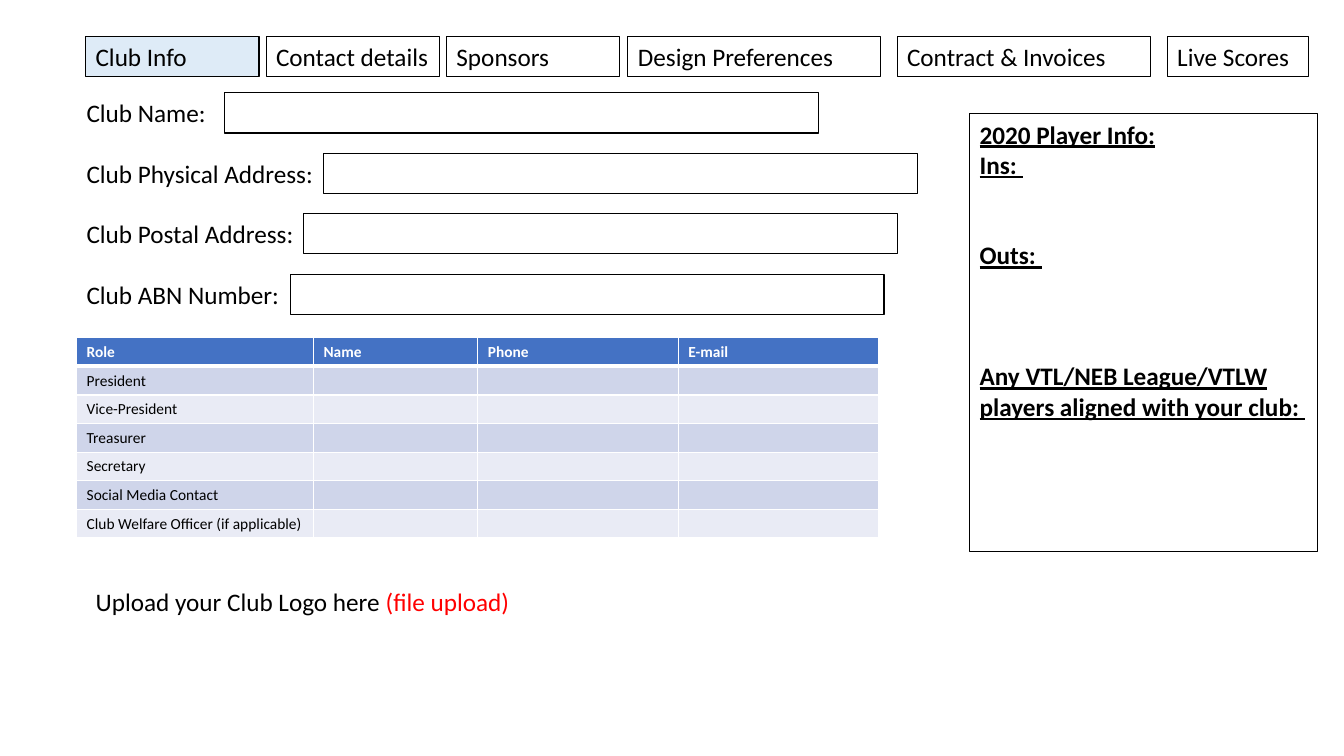
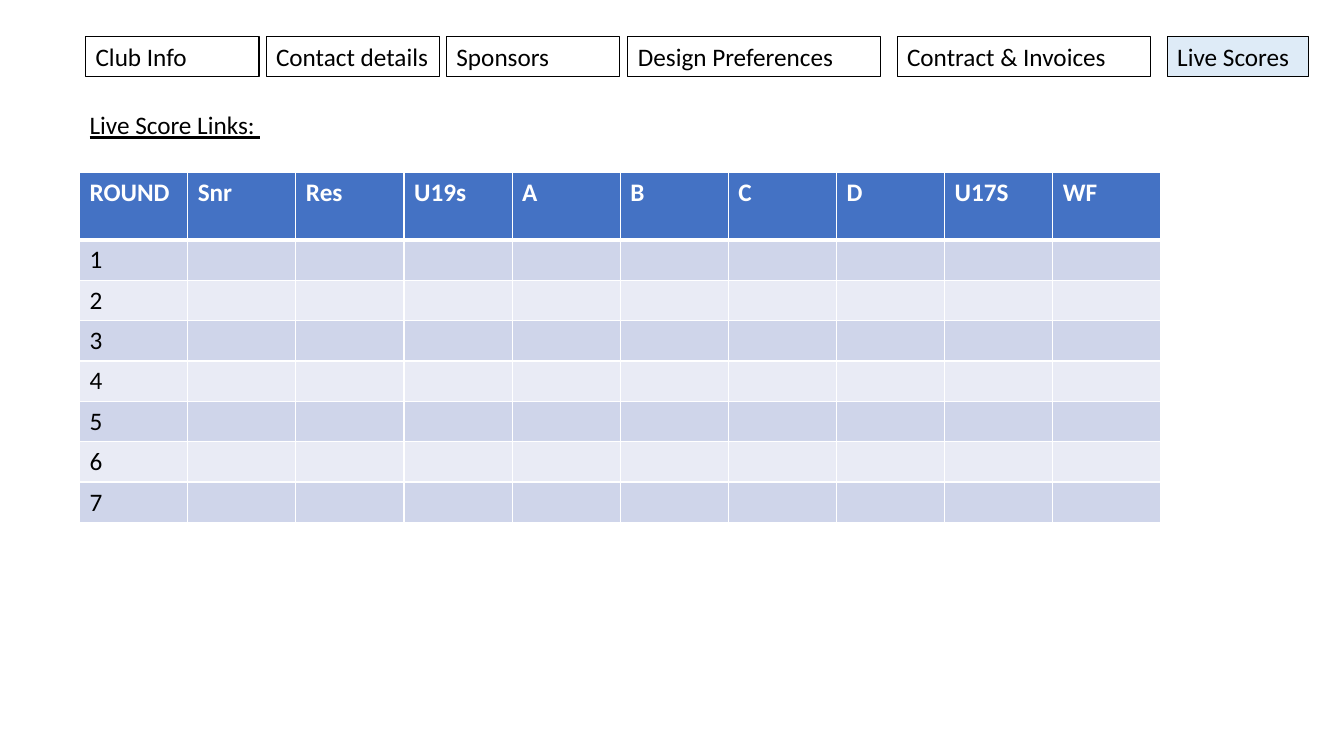
import dataclasses
import lxml.etree
import pptx
import pptx.dml.color
import pptx.enum.shapes
import pptx.enum.text
import pptx.oxml.ns
import pptx.util


@dataclasses.dataclass(frozen=True)
class Theme:
    font: str = "Calibri"
    body: float = 18
    small: float = 11
    line: float = 21.6
    edge: float = 0.75
    rule: float = 1
    thick: float = 3
    ink: str = "000000"
    paper: str = "FFFFFF"
    alert: str = "FF0000"
    active: str = "DEEBF7"
    head: str = "4472C4"
    bands: tuple = ("CFD5EA", "E9EBF5")


TABS = (
    ("Club Info", 8.5, 17.2),
    ("Contact details", 26.4, 17.2),
    ("Sponsors", 44.3, 17.2),
    ("Design Preferences", 62.3, 25.1),
    ("Contract & Invoices", 89, 25.1),
    ("Live Scores", 115.8, 14),
)
FIELDS = (
    ("Club Name: ", 22.3),
    ("Club Physical Address: ", 32.1),
    ("Club Postal Address: ", 30.1),
    ("Club ABN Number: ", 28.8),
)
ROLES = (
    "President",
    "Vice-President",
    "Treasurer",
    "Secretary",
    "Social Media Contact",
    "Club Welfare Officer (if applicable)",
)
GRADES = ("ROUND", "Snr", "Res", "U19s", "A", "B", "C", "D", "U17S", "WF")


def tint(code):
    return pptx.dml.color.RGBColor.from_string(code)


class Deck:
    COLS, ROWS = 133.33, 75

    def __init__(self, theme):
        self.theme = theme
        self.file = pptx.Presentation()
        self.file.slide_width = pptx.util.Inches(13.33)
        self.file.slide_height = pptx.util.Inches(7.5)
        self.slide = None

    def across(self, cols):
        return round(self.file.slide_width * cols / self.COLS)

    def down(self, rows):
        return round(self.file.slide_height * rows / self.ROWS)

    def place(self, left, top, width, height):
        return self.across(left), self.down(top), self.across(width), self.down(height)

    def page(self, active):
        self.slide = self.file.slides.add_slide(self.file.slide_layouts[6])
        for name, left, width in TABS:
            fill = self.theme.active if name == active else None
            self.box((left, 3.6, width, 4), [[(name, {})]], fill)

    def add_runs(self, para, runs, size=None):
        for words, style in runs:
            run = para.add_run()
            run.text = words
            font = run.font
            font.name = self.theme.font
            font.size = pptx.util.Pt(size or self.theme.body)
            font.bold = style.get("bold", False)
            font.underline = style.get("under", False)
            font.color.rgb = tint(style.get("color", self.theme.ink))

    def fill_text(self, frame, paras, gaps=()):
        frame.word_wrap = True
        frame.vertical_anchor = pptx.enum.text.MSO_ANCHOR.TOP
        for spot, runs in enumerate(paras):
            para = frame.add_paragraph() if spot else frame.paragraphs[0]
            para.alignment = pptx.enum.text.PP_ALIGN.LEFT
            if gaps:
                para.space_before = pptx.util.Pt(gaps[spot] * self.theme.line)
            self.add_runs(para, runs)

    def text(self, area, paras, gaps=()):
        shape = self.slide.shapes.add_textbox(*self.place(*area))
        self.fill_text(shape.text_frame, paras, gaps)

    def box(self, area, paras=(), fill=None, gaps=()):
        kind = pptx.enum.shapes.MSO_SHAPE.RECTANGLE
        shape = self.slide.shapes.add_shape(kind, *self.place(*area))
        shape.shadow.inherit = False
        if fill:
            shape.fill.solid()
            shape.fill.fore_color.rgb = tint(fill)
        else:
            shape.fill.background()
        shape.line.color.rgb = tint(self.theme.ink)
        shape.line.width = pptx.util.Pt(self.theme.edge)
        self.fill_text(shape.text_frame, paras, gaps)

    def rules(self, cell, row):
        qn = pptx.oxml.ns.qn
        props = cell._tc.get_or_add_tcPr()
        heavy = {"T": row == 1, "B": row == 0}
        for side in "LRTB":
            width = self.theme.thick if heavy.get(side) else self.theme.rule
            line = lxml.etree.SubElement(
                props, qn("a:ln" + side), w=str(pptx.util.Pt(width)))
            paint = lxml.etree.SubElement(line, qn("a:solidFill"))
            lxml.etree.SubElement(paint, qn("a:srgbClr"), val=self.theme.paper)

    def table(self, left, top, widths, heights, cells, size):
        area = self.place(left, top, sum(widths), sum(heights))
        grid = self.slide.shapes.add_table(len(heights), len(widths), *area).table
        for col, width in zip(grid.columns, widths):
            col.width = self.across(width)
        for row, height in enumerate(heights):
            grid.rows[row].height = self.down(height)
            for col in range(len(widths)):
                words = cells[row][col] if col < len(cells[row]) else ""
                self.cell(grid.cell(row, col), row, words, size)

    def cell(self, cell, row, words, size):
        theme = self.theme
        self.rules(cell, row)
        cell.fill.solid()
        fill = theme.bands[(row - 1) % 2] if row else theme.head
        cell.fill.fore_color.rgb = tint(fill)
        para = cell.text_frame.paragraphs[0]
        if words:
            style = {} if row else {"bold": True, "color": theme.paper}
            self.add_runs(para, [(words, style)], size)
        else:
            lxml.etree.SubElement(
                para._p, pptx.oxml.ns.qn("a:endParaRPr"), sz=str(size * 100))


def club_page(deck):
    theme = deck.theme
    deck.page("Club Info")
    labels = [[(name, {})] for name, left in FIELDS]
    deck.text((7.6, 9.2, 78.8, 28.3), labels, (0, 1, 1, 1))
    heads = ("Role", "Name", "Phone", "E-mail")
    cells = [heads] + [(role,) for role in ROLES]
    deck.table(7.6, 33.5, (23.5, 16.3, 19.9, 19.9),
               [2.83] * len(cells), cells, theme.small)
    for row, (name, left) in enumerate(FIELDS):
        deck.box((left, 9.2 + 6 * row, 58.9, 4))
    deck.text((8.5, 57.7, 45.1, 4), [[
        ("Upload your Club Logo here", {}),
        (" (file upload)", {"color": theme.alert}),
    ]])
    notes = (
        "2020 Player Info:",
        "Ins: ",
        "Outs: ",
        "Any VTL/NEB League/VTLW players aligned with your club: ",
    )
    strong = {"bold": True, "under": True}
    deck.box((96.2, 11.3, 34.5, 43.4),
             [[(note, strong)] for note in notes], gaps=(0, 0, 2, 3))


def score_page(deck):
    deck.page("Live Scores")
    deck.text((7.9, 10.4, 50.4, 4), [[("Live Score Links: ", {"under": True})]])
    cells = [GRADES] + [(str(num),) for num in range(1, 8)]
    deck.table(7.9, 17.1, [10.73] * len(GRADES),
               [6.7] + [4] * 7, cells, deck.theme.body)


def main():
    deck = Deck(Theme())
    club_page(deck)
    score_page(deck)
    deck.file.save("out.pptx")


if __name__ == "__main__":
    main()
